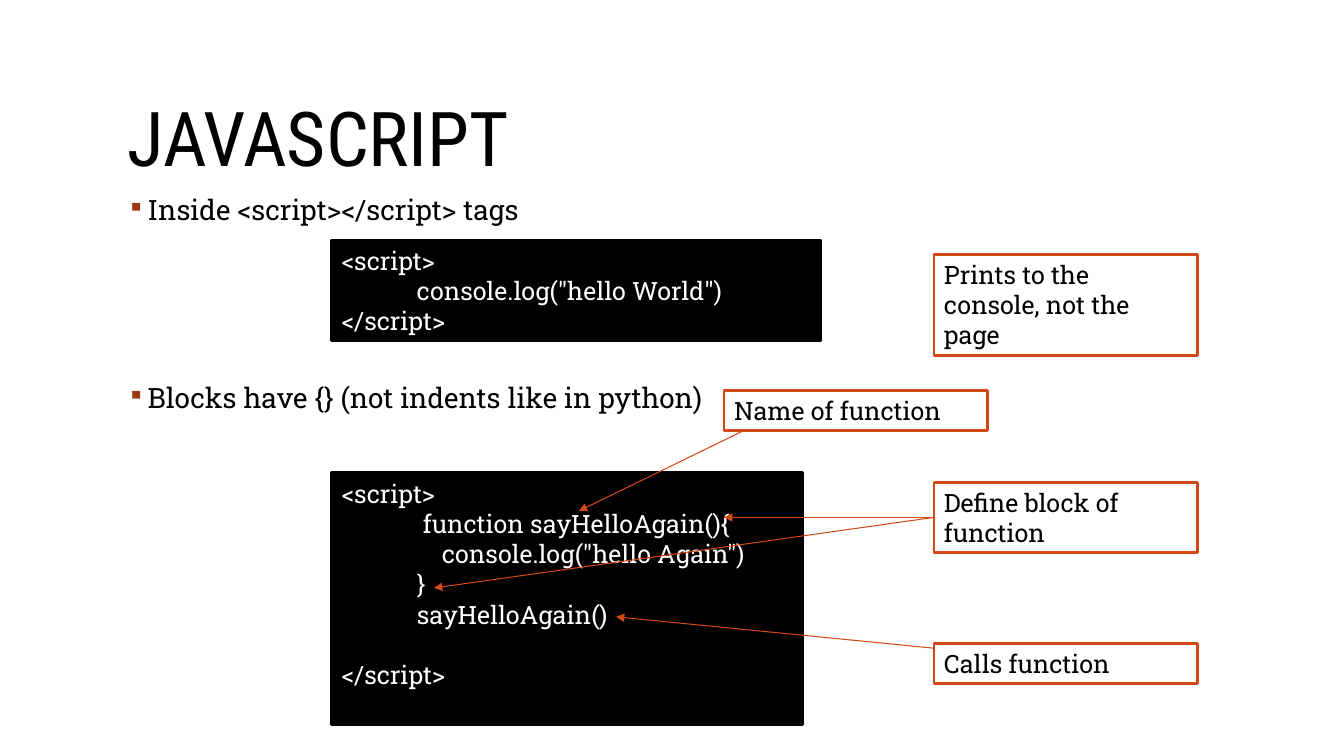
import pptx
import pptx.util
import pptx.dml.color
import pptx.enum.shapes
import pptx.enum.text
import lxml.etree

Pt = pptx.util.Pt
BLACK, WHITE, RUST, BROWN = "000000", "FFFFFF", "D34817", "9E3611"
SLAB = "Roboto Slab"
NS = "http://schemas.openxmlformats.org/drawingml/2006/main"

TITLE = "JAVASCRIPT"
POINTS = [
    ("Inside <script></script> tags", 0),
    ("Blocks have {} (not indents like in python)", 112.5),
]
CODES = [
    ((237, 171.5, 349.5, 72), [
        ("<script>", 0, 0),
        ("console.log(\"hello World\")", 53.6, 0),
        ("</script>", 0, 0),
    ]),
    ((237, 337.8, 336.5, 180), [
        ("<script>", 0, 0),
        ("function sayHelloAgain(){", 58, 0),
        ("console.log(\"hello Again\")", 71.5, 0),
        ("}", 53.6, 0),
        ("sayHelloAgain()", 53.6, 0),
        ("</script>", 0, 21.5),
    ]),
]
NOTES = [
    ("Prints to the console, not the page", 667.2, 181.7, 72),
    ("Define block of function", 667.2, 344.5, 50.4),
    ("Calls function", 667.2, 459.5, 28.8),
    ("Name of function", 517.2, 279, 28.8),
]
NOTE_W = 188.2
ARROWS = [
    (667, 369.6, 517.2, 369.6),
    (667, 463, 440, 440.6),
    (667, 369.6, 310, 420),
    (530.4, 308, 413.5, 365),
]


def color(code):
    return pptx.dml.color.RGBColor.from_string(code)


def style(para, size, ink, face=SLAB):
    para.font.size = Pt(size)
    para.font.name = face
    para.font.color.rgb = color(ink)
    para.alignment = pptx.enum.text.PP_ALIGN.LEFT


def add_tag(parent, name, **attrs):
    return lxml.etree.SubElement(parent, f"{{{NS}}}{name}", **attrs)


def add_box(slide, place, lines, fill, edge, ink):
    box = slide.shapes.add_shape(
        pptx.enum.shapes.MSO_SHAPE.RECTANGLE, *map(Pt, place))
    box.shadow.inherit = False
    box.fill.solid()
    box.fill.fore_color.rgb = color(fill)
    box.line.color.rgb = color(edge)
    box.line.width = Pt(2)
    frame = box.text_frame
    frame.word_wrap = True
    frame.vertical_anchor = pptx.enum.text.MSO_ANCHOR.TOP
    for i, (text, indent, gap) in enumerate(lines):
        para = frame.add_paragraph() if i else frame.paragraphs[0]
        para.text = text
        para.space_before = Pt(gap)
        style(para, 18, ink)
        para._p.get_or_add_pPr().set("marL", str(Pt(indent)))


def add_title(slide):
    title = slide.shapes.title
    title.left, title.top, title.width, title.height = map(
        Pt, (84, 38, 792, 127))
    title.text_frame.text = TITLE
    title.text_frame.vertical_anchor = pptx.enum.text.MSO_ANCHOR.MIDDLE
    para = title.text_frame.paragraphs[0]
    para.line_spacing = 0.9
    style(para, 54, BLACK, "Roboto Condensed")


def add_points(slide):
    frame = slide.shapes.add_textbox(
        *map(Pt, (84, 136.8, 792, 265.7))).text_frame
    frame.word_wrap = True
    for i, (text, gap) in enumerate(POINTS):
        para = frame.add_paragraph() if i else frame.paragraphs[0]
        para.text = text
        para.line_spacing = 0.9
        para.space_before = Pt(gap)
        props = para._p.get_or_add_pPr()
        props.set("marL", str(Pt(14.4)))
        props.set("indent", str(-Pt(14.4)))
        add_tag(add_tag(props, "buClr"), "srgbClr", val=BROWN)
        add_tag(props, "buSzPct", val="85000")
        add_tag(props, "buChar", char="▪")
        style(para, 20, BLACK)


def add_arrow(slide, ends):
    arrow = slide.shapes.add_connector(
        pptx.enum.shapes.MSO_CONNECTOR.STRAIGHT, *map(Pt, ends))
    arrow.line.color.rgb = color(RUST)
    arrow.line.width = Pt(0.75)
    add_tag(arrow.line._get_or_add_ln(), "tailEnd", type="triangle")
    add_tag(arrow._element.spPr, "effectLst")


def main():
    deck = pptx.Presentation()
    deck.slide_width, deck.slide_height = Pt(960), Pt(540)
    slide = deck.slides.add_slide(deck.slide_layouts[5])
    add_title(slide)
    add_points(slide)
    for place, lines in CODES:
        add_box(slide, place, lines, BLACK, BLACK, WHITE)
    for text, left, top, height in NOTES:
        add_box(slide, (left, top, NOTE_W, height), [(text, 0, 0)],
                WHITE, RUST, BLACK)
    for ends in ARROWS:
        add_arrow(slide, ends)
    deck.save("out.pptx")


if __name__ == "__main__":
    main()
